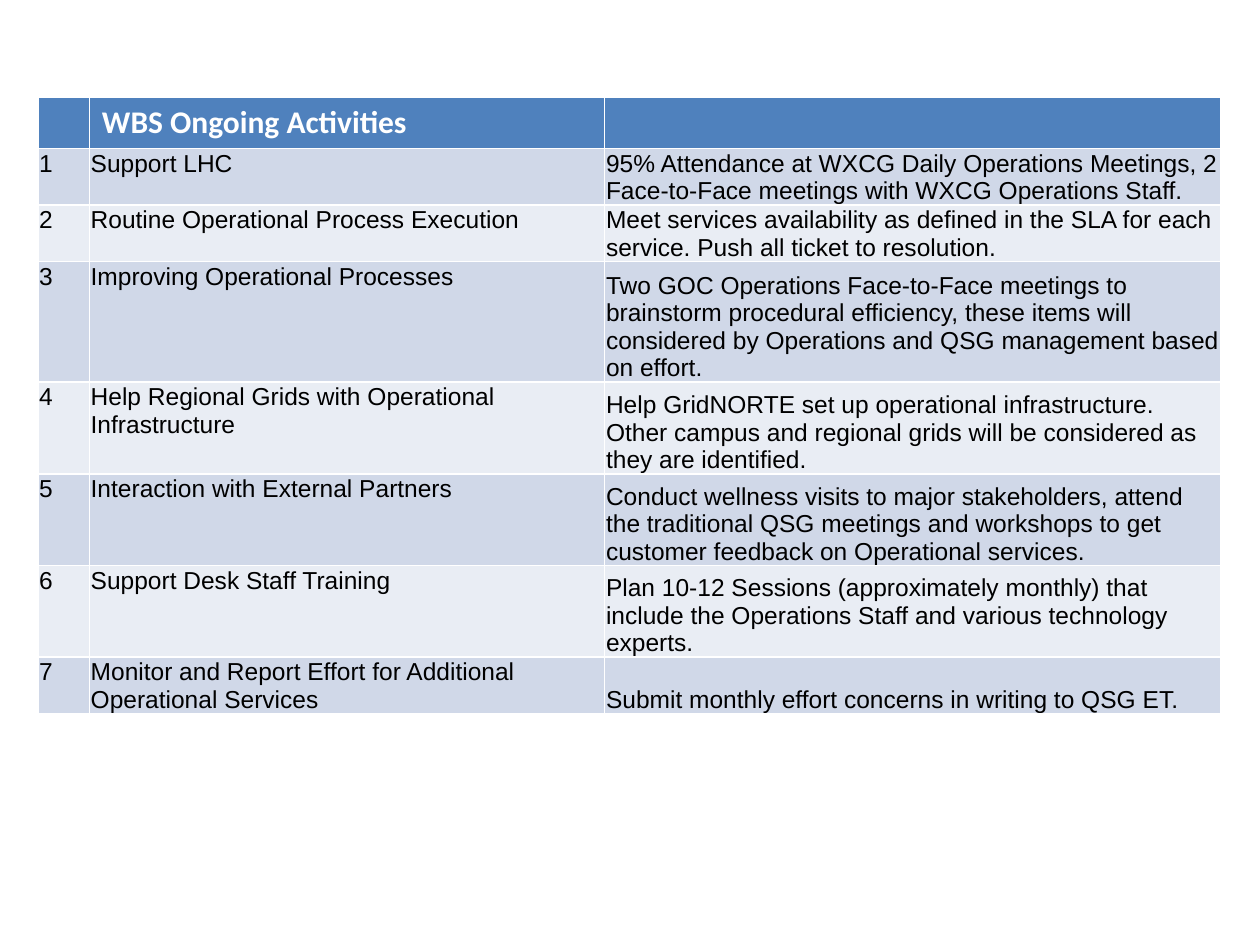
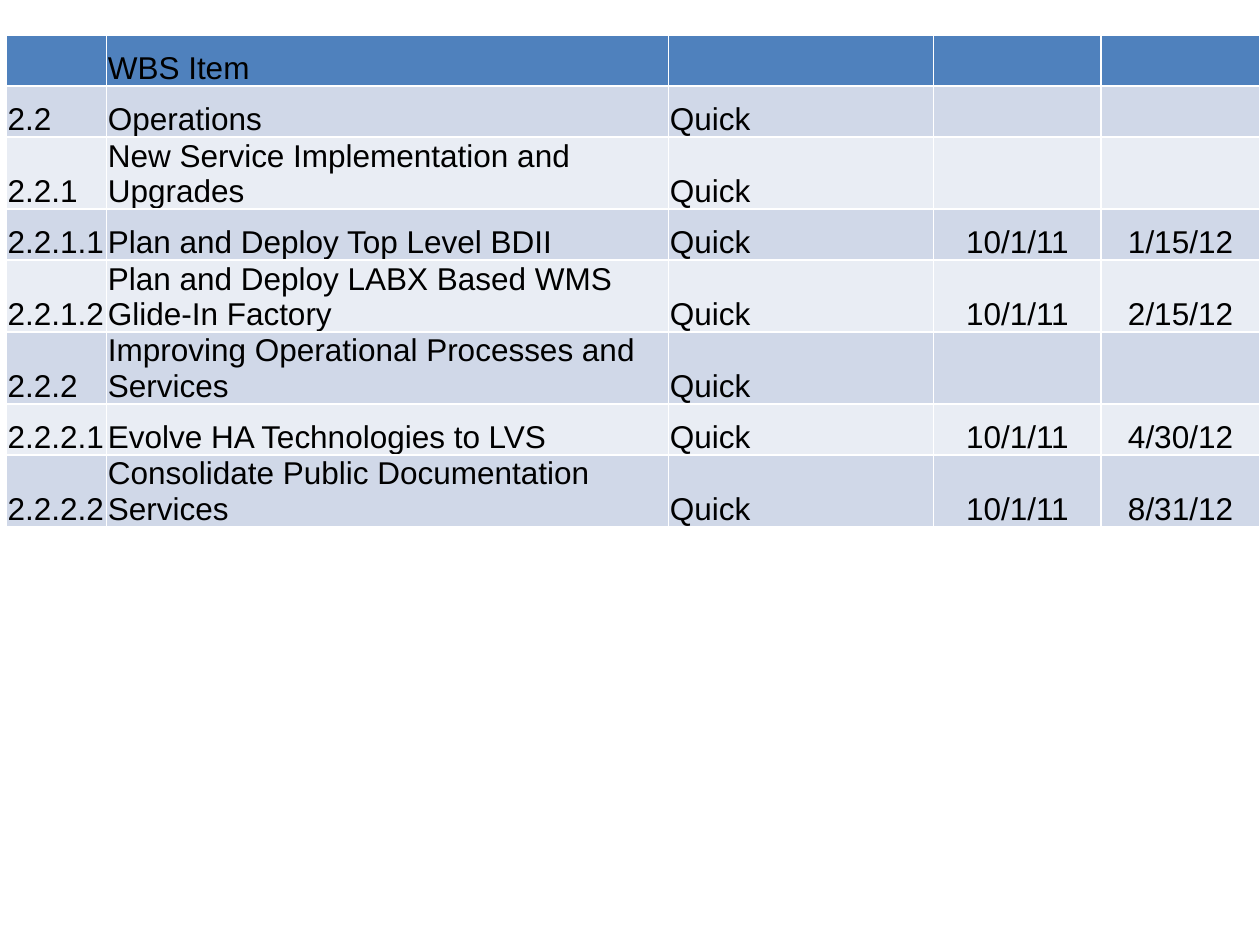
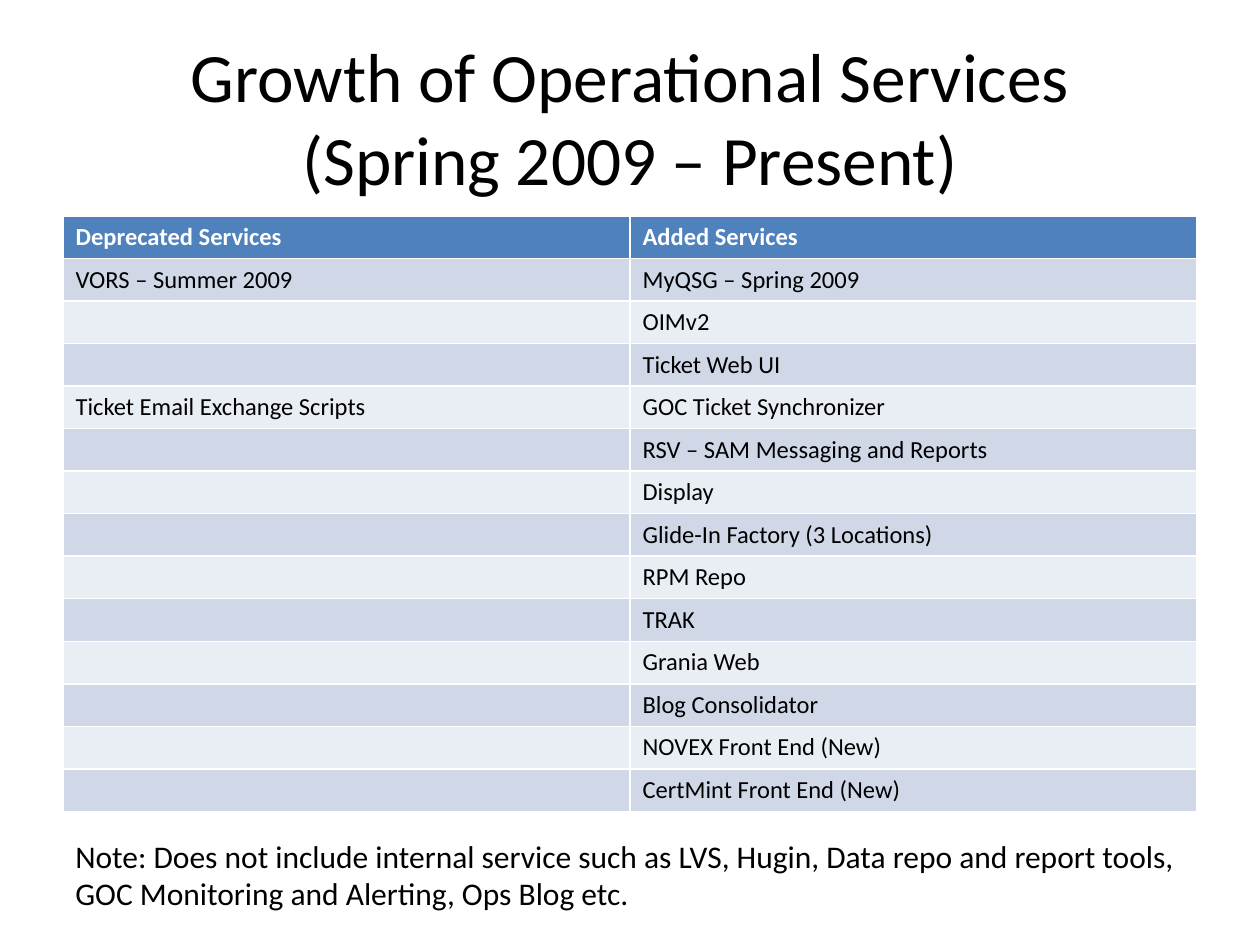
from lxml.etree import SubElement
from pptx import Presentation
from pptx.dml.color import RGBColor
from pptx.enum.text import MSO_ANCHOR as Anchor, PP_ALIGN as Align
from pptx.oxml.ns import qn
from pptx.util import Pt

# Shared look
BLACK, WHITE = "000000", "FFFFFF"
HEADER_FILL = "4F81BD"
BAND_FILLS = ("E9EDF4", "D0D8E8")
TIGHT_MARGINS = dict(margin_left=Pt(0.75), margin_right=Pt(0.75),
                     margin_top=Pt(0.75), margin_bottom=Pt(0))
BODY = dict(name="Calibri", size=Pt(14), bold=False)
BOLD_HEADER = dict(name="Calibri", size=Pt(14), bold=True)
SHEET = dict(name="Arial", size=Pt(14), bold=False)


def write(paragraph, text, font, color=BLACK, align=Align.LEFT):
    paragraph.alignment = align
    if not text:
        # An empty cell keeps the text size, so its row does not grow
        SubElement(paragraph._p, qn("a:endParaRPr"), sz=str(int(font["size"].pt * 100)))
        return
    paragraph.text = text
    for run in paragraph.runs:
        for name, value in font.items():
            setattr(run.font, name, value)
        run.font.color.rgb = RGBColor.from_string(color)


def add_banded_table(slide, left, top, widths, heights, rows):
    table = slide.shapes.add_table(len(rows), len(widths), Pt(left), Pt(top),
                                   Pt(sum(widths)), Pt(sum(heights))).table
    for column, width in zip(table.columns, widths):
        column.width = Pt(width)
    for index, height in enumerate(heights):
        table.rows[index].height = Pt(height)
        fill = BAND_FILLS[index % 2] if index else HEADER_FILL
        for cell in table.rows[index].cells:
            cell.fill.solid()
            cell.fill.fore_color.rgb = RGBColor.from_string(fill)
    return table


presentation = Presentation()
presentation.slide_width, presentation.slide_height = Pt(720), Pt(540)
blank = presentation.slide_layouts[6]

# Slide 1: ongoing activities
activities = [
    ("", "WBS Ongoing Activities", ""),
    ("1", "Support LHC",
     "95% Attendance at WXCG Daily Operations Meetings, 2 Face-to-Face meetings "
     "with WXCG Operations Staff."),
    ("2", "Routine Operational Process Execution",
     "Meet services availability as defined in the SLA for each service. "
     "Push all ticket to resolution."),
    ("3", "Improving Operational Processes",
     "Two GOC Operations Face-to-Face meetings to brainstorm procedural efficiency, "
     "these items will considered by Operations and QSG management based on effort."),
    ("4", "Help Regional Grids with Operational Infrastructure",
     "Help GridNORTE set up operational infrastructure. Other campus and regional "
     "grids will be considered as they are identified."),
    ("5", "Interaction with External Partners",
     "Conduct wellness visits to major stakeholders, attend the traditional QSG "
     "meetings and workshops to get customer feedback on Operational services."),
    ("6", "Support Desk Staff Training",
     "Plan 10-12 Sessions (approximately monthly) that include the Operations Staff "
     "and various technology experts."),
    ("7", "Monitor and Report Effort for Additional Operational Services",
     "Submit monthly effort concerns in writing to QSG ET."),
]
slide = presentation.slides.add_slide(blank)
table = add_banded_table(slide, 21.6, 55.75, [29.5, 294.5, 352],
                         [29.2, 29.2, 29.2, 69, 52.4, 52.4, 52.4, 29.2], activities)
for row_index, row in enumerate(activities):
    for column_index, text in enumerate(row):
        cell = table.cell(row_index, column_index)
        paragraph = cell.text_frame.paragraphs[0]
        if row_index == 0:
            write(paragraph, text, BOLD_HEADER | {"size": Pt(18)}, WHITE)
            continue
        write(paragraph, text, SHEET)
        anchor = Anchor.BOTTOM if column_index == 2 else Anchor.TOP
        for name, value in (TIGHT_MARGINS | {"vertical_anchor": anchor}).items():
            setattr(cell, name, value)

# Slide 2: work items with start and end dates
work_items = [
    ("", "WBS Item", "", "", ""),
    ("2.2", "Operations", "Quick", "", ""),
    ("2.2.1", "New Service Implementation and Upgrades", "Quick", "", ""),
    ("2.2.1.1", "Plan and Deploy Top Level BDII", "Quick", "10/1/11", "1/15/12"),
    ("2.2.1.2", "Plan and Deploy LABX Based WMS Glide-In Factory", "Quick",
     "10/1/11", "2/15/12"),
    ("2.2.2", "Improving Operational Processes and Services", "Quick", "", ""),
    ("2.2.2.1", "Evolve HA Technologies to LVS", "Quick", "10/1/11", "4/30/12"),
    ("2.2.2.2", "Consolidate Public Documentation Services", "Quick",
     "10/1/11", "8/31/12"),
]
slide = presentation.slides.add_slide(blank)
table = add_banded_table(slide, 3.6, 20, [57.3, 321.2, 151.4, 95.8, 90.7],
                         [29.2] * len(work_items), work_items)
for row_index, row in enumerate(work_items):
    for column_index, text in enumerate(row):
        cell = table.cell(row_index, column_index)
        align = Align.CENTER if column_index > 2 else Align.LEFT
        write(cell.text_frame.paragraphs[0], text, SHEET | {"size": Pt(18)}, align=align)
        if text:
            for name, value in (TIGHT_MARGINS | {"vertical_anchor": Anchor.BOTTOM}).items():
                setattr(cell, name, value)

# Slide 3: services deprecated and added
services = [
    ("Deprecated Services", "Added Services"),
    ("VORS – Summer 2009", "MyQSG – Spring 2009"),
    ("", "OIMv2"),
    ("", "Ticket Web UI"),
    ("Ticket Email Exchange Scripts", "GOC Ticket Synchronizer"),
    ("", "RSV – SAM Messaging and Reports"),
    ("", "Display"),
    ("", "Glide-In Factory (3 Locations)"),
    ("", "RPM Repo"),
    ("", "TRAK"),
    ("", "Grania Web"),
    ("", "Blog Consolidator"),
    ("", "NOVEX Front End (New)"),
    ("", "CertMint Front End (New)"),
]
slide = presentation.slides.add_slide(blank)
table = add_banded_table(slide, 36, 123.5, [324, 324], [24.3] * len(services), services)
for row_index, row in enumerate(services):
    for column_index, text in enumerate(row):
        paragraph = table.cell(row_index, column_index).text_frame.paragraphs[0]
        if row_index == 0:
            write(paragraph, text, BOLD_HEADER, WHITE)
        else:
            write(paragraph, text, BODY)

# Title above the table and note below it
texts = [
    (21.6, 90, "Growth of Operational Services\v(Spring 2009 – Present)",
     39.6, Align.CENTER, Anchor.MIDDLE),
    (474.5, 51, "Note: Does not include internal service such as LVS, Hugin, Data repo "
     "and report tools, GOC Monitoring and Alerting, Ops Blog etc.",
     18, Align.LEFT, Anchor.TOP),
]
for top, height, text, size, align, anchor in texts:
    frame = slide.shapes.add_textbox(Pt(36), Pt(top), Pt(648), Pt(height)).text_frame
    frame.word_wrap = True
    frame.vertical_anchor = anchor
    write(frame.paragraphs[0], text, BODY | {"size": Pt(size)}, align=align)

presentation.save("out.pptx")
